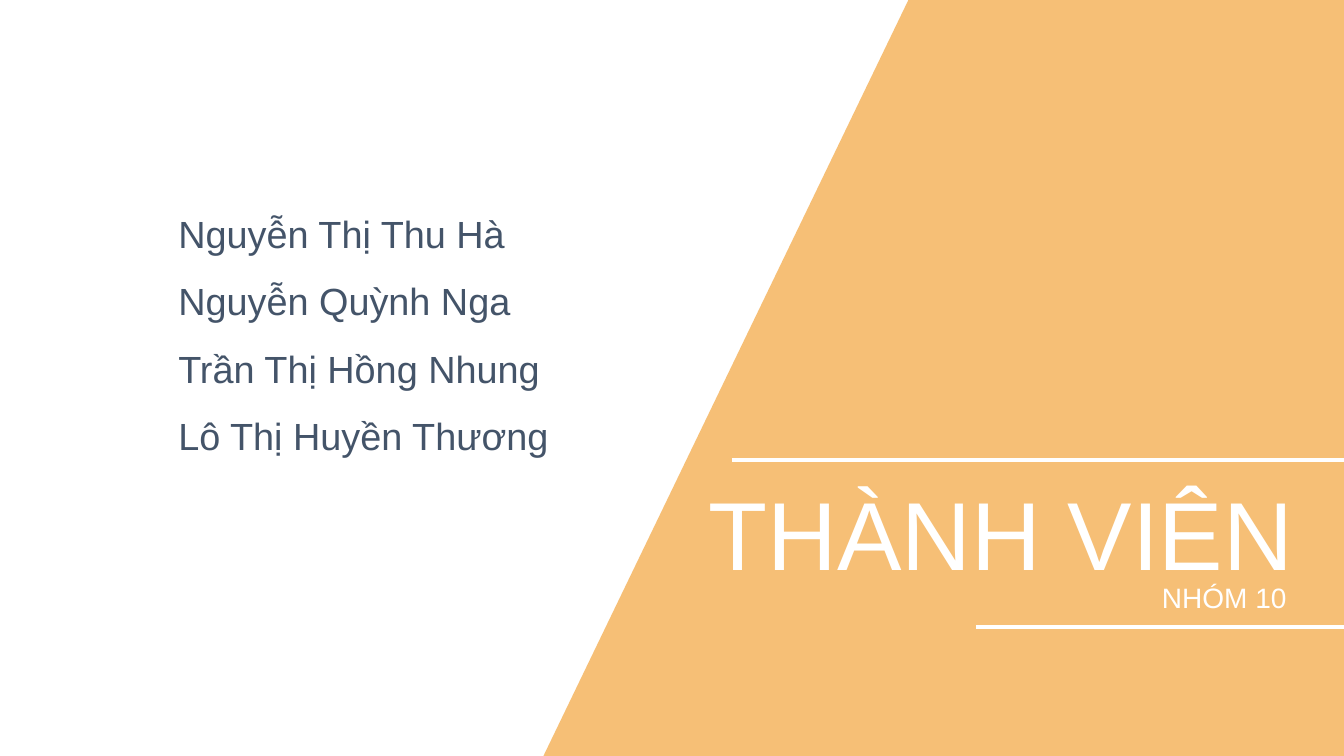
from lxml.etree import SubElement
from pptx import Presentation
from pptx.dml.color import RGBColor
from pptx.enum.text import MSO_ANCHOR, MSO_AUTO_SIZE, PP_ALIGN
from pptx.oxml.ns import qn
from pptx.util import Inches, Pt

WIDTH, HEIGHT = 13.33, 7.5
WHITE, SLATE, ORANGE = "FFFFFF", "445469", "F4AF52"


def color(hex_code):
    return RGBColor.from_string(hex_code)


def write(text, box, left, top, width, height, size, ink,
          align=PP_ALIGN.LEFT, spacing=1.0, wrap=True):
    box.left, box.top = Inches(left), Inches(top)
    box.width, box.height = Inches(width), Inches(height)
    frame = box.text_frame
    frame.text = text
    frame.word_wrap = wrap
    frame.auto_size = MSO_AUTO_SIZE.SHAPE_TO_FIT_TEXT
    frame.vertical_anchor = MSO_ANCHOR.TOP
    paragraph = frame.paragraphs[0]
    paragraph.alignment = align
    paragraph.line_spacing = spacing
    font = paragraph.runs[0].font
    font.name, font.size = "Arial", Pt(size)
    font.color.rgb = color(ink)


prs = Presentation()
prs.slide_width, prs.slide_height = Inches(WIDTH), Inches(HEIGHT)
slide = prs.slides.add_slide(prs.slide_layouts[5])
slide.background.fill.solid()
slide.background.fill.fore_color.rgb = color(WHITE)
heading = slide.shapes.title

outline = slide.shapes.build_freeform(Inches(9.01), 0)
outline.add_line_segments(
    [(Inches(x), Inches(y)) for x, y in [(WIDTH, 0), (WIDTH, HEIGHT), (5.39, HEIGHT)]],
    close=True)
panel = outline.convert_to_shape()
panel.shadow.inherit = False
panel.fill.solid()
panel.fill.fore_color.rgb = color(ORANGE)
panel.line.fill.background()
tint = panel._element.spPr.find(qn("a:solidFill")).find(qn("a:srgbClr"))
SubElement(tint, qn("a:alpha"), val="79000")
heading._element.addprevious(panel._element)

write("THÀNH VIÊN", heading, 6.87, 4.78, 6.06, 1.15, 69, WHITE,
      align=PP_ALIGN.RIGHT, spacing=0.9, wrap=False)
write("NHÓM 10", slide.shapes.add_textbox(0, 0, 0, 0), 11.4, 5.75, 1.46, 0.4, 20, WHITE,
      align=PP_ALIGN.RIGHT, spacing=0.9, wrap=False)

for start, level in [(7.26, 4.56), (9.68, 6.22)]:
    rule = slide.shapes.add_connector(
        1, Inches(start), Inches(level), Inches(WIDTH), Inches(level))
    rule.line.color.rgb = color(WHITE)
    rule.line.width = Pt(3)
    SubElement(rule._element.spPr, qn("a:effectLst"))

members = ["Nguyễn Thị Thu Hà", "Nguyễn Quỳnh Nga",
           "Trần Thị Hồng Nhung", "Lô Thị Huyền Thương"]
for row, member in enumerate(members):
    write(member, slide.shapes.add_textbox(0, 0, 0, 0),
          1.67, 2.04 + 0.67 * row, 3.99, 0.56, 27, SLATE)

prs.save("out.pptx")
